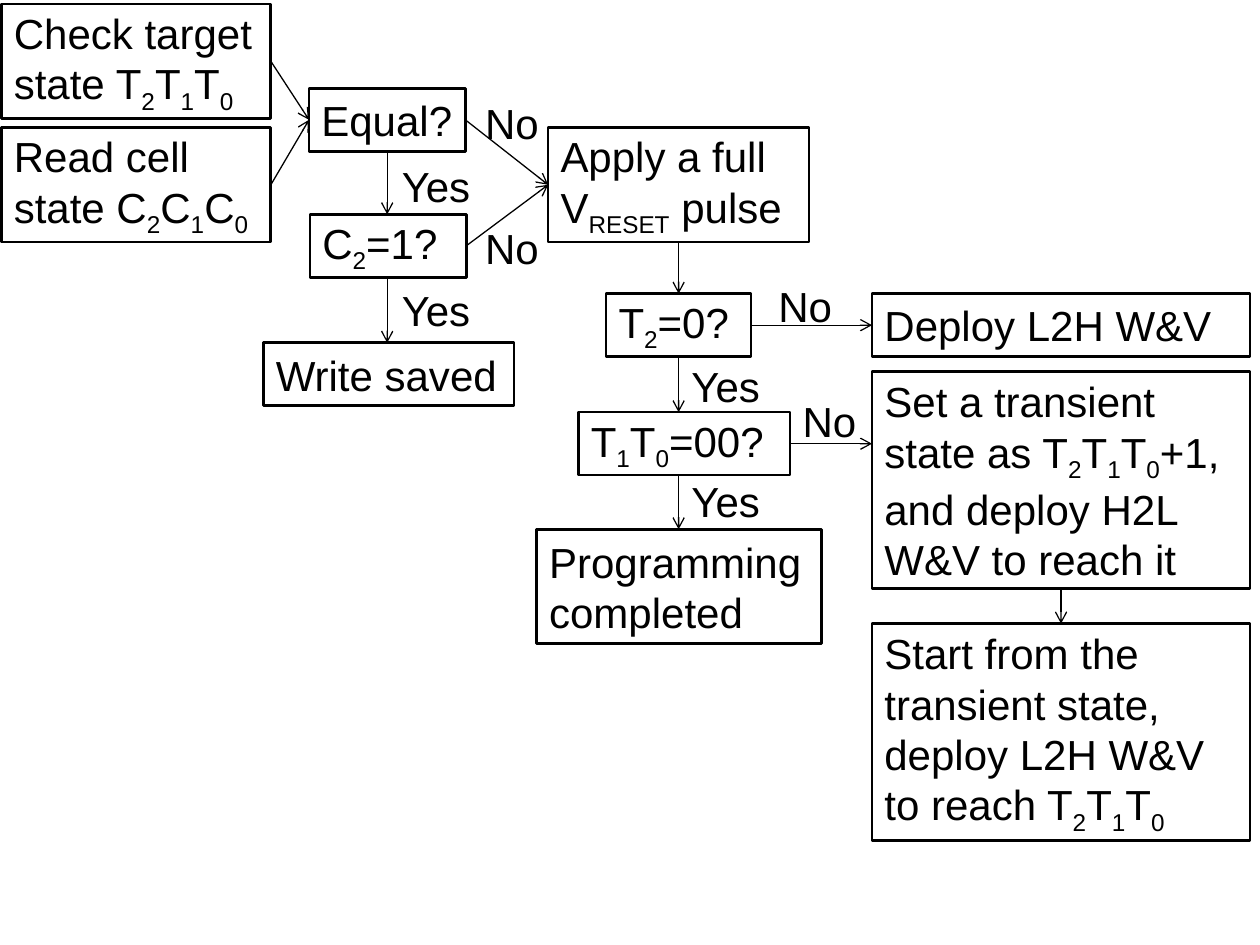
from dataclasses import dataclass
from lxml.etree import SubElement
from pptx import Presentation
from pptx.dml.color import RGBColor as Rgb
from pptx.enum.shapes import MSO_CONNECTOR as Conn, MSO_SHAPE as Form
from pptx.enum.text import MSO_ANCHOR as Anchor, PP_ALIGN as Align
from pptx.oxml.ns import qn
from pptx.util import Cm, Pt


@dataclass(frozen=True)
class Theme:
    """Colours, type and line sizes of the flow chart."""
    ink: Rgb = Rgb(0, 0, 0)
    font: str = "Arial"
    size: float = 24
    edge: float = 1.5
    wire: float = 0.75
    sub: str = "-25000"


THEME = Theme()
ROW, PAIR, TALL = 1.27, 2.31, 4.37


def write(shape, text, size=THEME.size, color=THEME.ink, align=Align.LEFT, anchor=Anchor.TOP):
    """Fill a shape with text in which {braces} mark subscripts."""
    frame = shape.text_frame
    frame.word_wrap = True
    frame.vertical_anchor = anchor
    para = frame.paragraphs[0]
    para.alignment = align
    for i, part in enumerate(text.replace("}", "{").split("{")):
        if part:
            run = para.add_run()
            run.text = part
            run.font.name, run.font.size = THEME.font, Pt(size)
            run.font.color.rgb = color
            if i % 2:
                run.font._element.set("baseline", THEME.sub)


def place(area, x, y, w, h):
    """Turn a position inside an area into slide lengths."""
    return Cm(area[0] + x), Cm(area[1] + y), Cm(w), Cm(h)


def box(slide, area, text, x, y, w, h=ROW):
    """Draw one outlined step and return it."""
    shape = slide.shapes.add_shape(Form.RECTANGLE, *place(area, x, y, w, h))
    shape.shadow.inherit = False
    shape.fill.background()
    shape.line.color.rgb, shape.line.width = THEME.ink, Pt(THEME.edge)
    write(shape, text, anchor=Anchor.MIDDLE)
    return shape


def label(slide, area, text, x, y, w):
    """Set the answer beside an arrow."""
    write(slide.shapes.add_textbox(*place(area, x, y, w, ROW)), text)


def arrow(slide, start, end):
    """Draw an open-headed arrow between two points."""
    line = slide.shapes.add_connector(Conn.STRAIGHT, *start, *end)
    line.line.color.rgb, line.line.width = THEME.ink, Pt(THEME.wire)
    SubElement(line.line._get_or_add_ln(), qn("a:tailEnd"), type="arrow")
    SubElement(line._element.spPr, qn("a:effectLst"))


def left(shape):
    """Give the middle of the left edge."""
    return shape.left, shape.top + shape.height // 2


def right(shape):
    """Give the middle of the right edge."""
    return shape.left + shape.width, shape.top + shape.height // 2


def drop(slide, steps):
    """Join stacked steps by arrows below the centre of the first."""
    mid = steps[0].left + steps[0].width // 2
    for top, low in zip(steps, steps[1:]):
        arrow(slide, (mid, top.top + top.height), (mid, low.top))


def compare(slide, area):
    """Draw the comparison of target and cell state; return its two tests."""
    reads = [box(slide, area, text, 0, i * 2.49, 5.43, PAIR) for i, text in
             enumerate(("Check target state T{2}T{1}T{0}", "Read cell state C{2}C{1}C{0}"))]
    equal = box(slide, area, "Equal?", 6.2, 1.7, 3.15)
    high = box(slide, area, "C{2}=1?", 6.22, 4.24, 3.15)
    saved = box(slide, area, "Write saved", 5.28, 6.83, 5.05)
    for read in reads:
        arrow(slide, right(read), left(equal))
    drop(slide, (equal, high, saved))
    for i in range(2):
        label(slide, area, "No", 9.5, 1.77 + i * 2.52, 1.7)
        label(slide, area, "Yes", 7.82, 3.04 + i * 2.49, 2.34)
    return equal, high


def reset(slide, area):
    """Draw the reset column; return its first three steps."""
    pulse = box(slide, area, "Apply a full V{RESET} pulse", 0.23, 0, 5.26, PAIR)
    top = box(slide, area, "T{2}=0?", 1.4, 3.35, 2.92)
    low = box(slide, area, "T{1}T{0}=00?", 0.84, 5.74, 4.27)
    done = box(slide, area, "Programming completed", 0, 8.1, 5.74, PAIR)
    drop(slide, (pulse, top, low, done))
    for i in range(2):
        label(slide, area, "No", 4.62 + i * 0.49, 2.97 + i * 2.31, 2.08)
        label(slide, area, "Yes", 2.87, 4.57 + i * 2.33, 2.62)
    return pulse, top, low


def deploy(slide, area):
    """Draw the write-and-verify column; return its first two steps."""
    wide = area[2]
    plain = box(slide, area, "Deploy L2H W&V", 0, 0, wide)
    shift = box(slide, area, "Set a transient state as T{2}T{1}T{0}+1, "
                "and deploy H2L W&V to reach it", 0, 1.57, wide, TALL)
    final = box(slide, area, "Start from the transient state, "
                "deploy L2H W&V to reach T{2}T{1}T{0}", 0, 6.65, wide, TALL)
    drop(slide, (shift, final))
    return plain, shift


def chart(slide):
    """Place the three regions and join them."""
    tests = compare(slide, (0.03, 0.08, 10.33, 8.1))
    pulse, top, low = reset(slide, (10.82, 2.57, 7.19, 10.41))
    plain, shift = deploy(slide, (17.58, 5.92, 7.62, 11.02))
    for test in tests:
        arrow(slide, right(test), left(pulse))
    for test, step in ((top, plain), (low, shift)):
        arrow(slide, right(test), (step.left, right(test)[1]))


deck = Presentation()
deck.slide_width, deck.slide_height = Cm(25.4), Cm(19.05)
chart(deck.slides.add_slide(deck.slide_layouts[6]))
deck.save("out.pptx")
